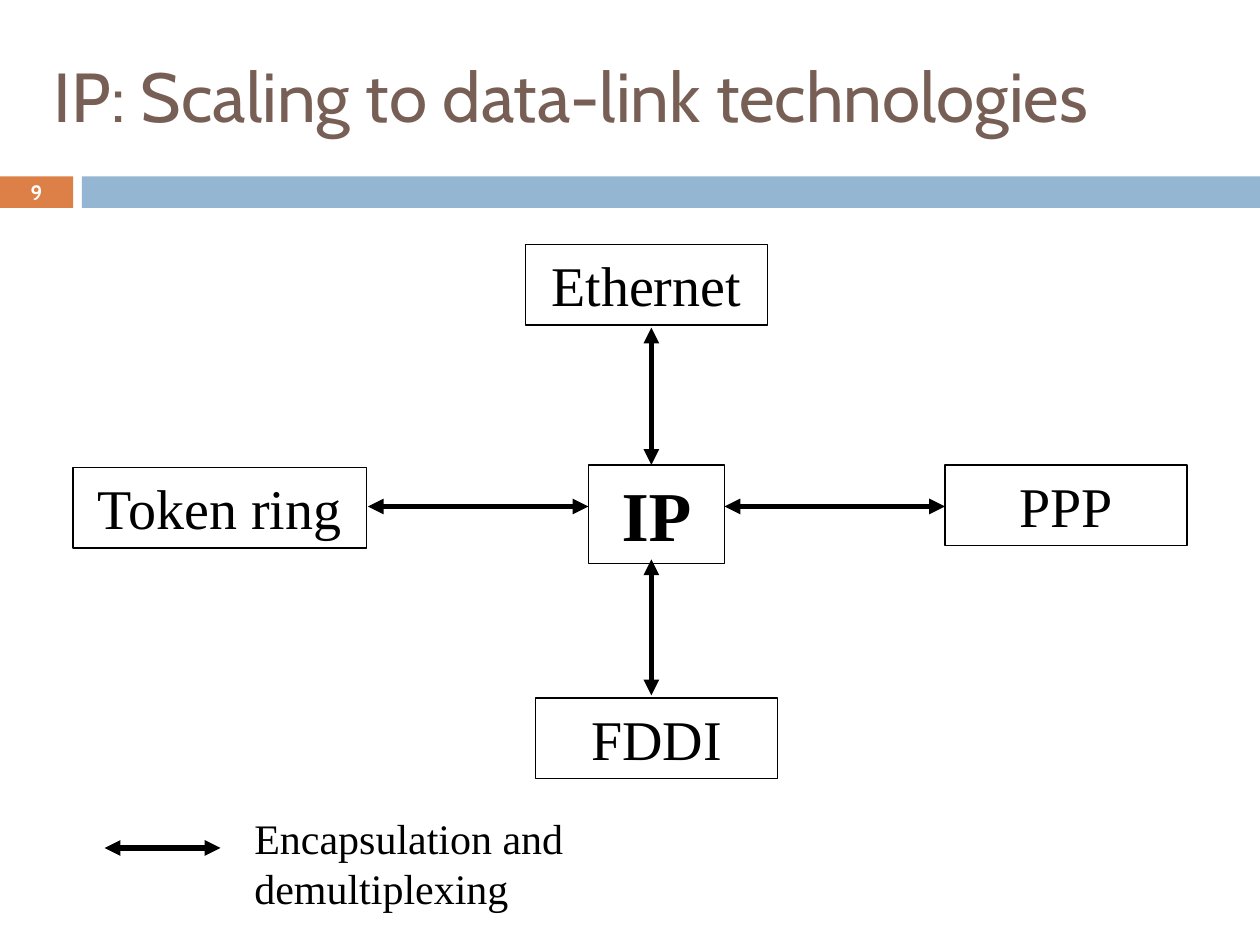
from dataclasses import dataclass

from lxml import etree
from pptx import Presentation
from pptx.dml.color import RGBColor
from pptx.enum.shapes import MSO_CONNECTOR, MSO_SHAPE
from pptx.enum.text import MSO_ANCHOR, PP_ALIGN
from pptx.oxml.ns import qn
from pptx.util import Inches, Pt

RECT = MSO_SHAPE.RECTANGLE
STRAIGHT = MSO_CONNECTOR.STRAIGHT
TOP, MIDDLE = MSO_ANCHOR.TOP, MSO_ANCHOR.MIDDLE
LEFT, CENTER = PP_ALIGN.LEFT, PP_ALIGN.CENTER


@dataclass(frozen=True)
class Theme:
    """Colours, fonts and type sizes of the slide."""
    ink: RGBColor = RGBColor(0x00, 0x00, 0x00)
    title: RGBColor = RGBColor(0x77, 0x5F, 0x55)
    accent: RGBColor = RGBColor(0xDD, 0x80, 0x47)
    band: RGBColor = RGBColor(0x94, 0xB6, 0xD2)
    white: RGBColor = RGBColor(0xFF, 0xFF, 0xFF)
    head_font: str = "Cabin"
    body_font: str = "Times New Roman"
    title_size: float = 39.6
    number_size: float = 11.9
    node_size: float = 32
    hub_size: float = 40
    legend_size: float = 24
    space_before: float = 3
    outline: float = 0.75
    arrow: float = 3


@dataclass(frozen=True)
class Box:
    """Position and size in inches."""
    x: float
    y: float
    w: float
    h: float

    def emu(self) -> list:
        """Return the four lengths for python-pptx."""
        return [Inches(v) for v in (self.x, self.y, self.w, self.h)]


@dataclass(frozen=True)
class Node:
    """A labelled protocol box."""
    label: str
    box: Box
    size: float
    bold: bool = False


@dataclass(frozen=True)
class Arrow:
    """A double-headed arrow between two points in inches."""
    x1: float
    y1: float
    x2: float
    y2: float


T = Theme()
NODE_W, NODE_H = 1.92, 0.64
HUB_X, HUB_Y = 5.17, 4.02

NODES = [
    Node("Ethernet", Box(4.17, 1.94, NODE_W, NODE_H), T.node_size),
    Node("FDDI", Box(4.25, 5.54, NODE_W, NODE_H), T.node_size),
    Node("PPP", Box(7.5, 3.69, NODE_W, NODE_H), T.node_size),
    Node("Token ring", Box(0.58, 3.71, 2.33, NODE_H), T.node_size),
    Node("IP", Box(4.67, 3.69, 1.08, 0.78), T.hub_size, True),
]
ARROWS = [
    Arrow(2.92, HUB_Y, 4.67, HUB_Y),
    Arrow(5.75, HUB_Y, 7.5, HUB_Y),
    Arrow(HUB_X, 2.6, HUB_X, 3.69),
    Arrow(HUB_X, 4.44, HUB_X, 5.52),
    Arrow(0.83, 6.73, 1.75, 6.73),
]


def write(sp, text: str, align=LEFT, anchor=TOP, before: float = 0, **font) -> None:
    """Put one formatted paragraph into a shape."""
    tf = sp.text_frame
    tf.word_wrap = True
    tf.vertical_anchor = anchor
    p = tf.paragraphs[0]
    p.alignment = align
    p.space_before = Pt(before)
    r = p.add_run()
    r.text = text
    r.font.color.rgb = font.pop("color")
    for name, value in font.items():
        setattr(r.font, name, value)


def add_band(slide, box: Box, color: RGBColor) -> None:
    """Draw a filled bar without an outline."""
    sp = slide.shapes.add_shape(RECT, *box.emu())
    sp.shadow.inherit = False
    sp.fill.solid()
    sp.fill.fore_color.rgb = color
    sp.line.fill.background()


def add_text(slide, box: Box, text: str, **style) -> None:
    """Add a text box with one paragraph."""
    write(slide.shapes.add_textbox(*box.emu()), text, **style)


def add_node(slide, node: Node) -> None:
    """Draw an outlined box with its label."""
    sp = slide.shapes.add_shape(RECT, *node.box.emu())
    sp.shadow.inherit = False
    sp.fill.background()
    sp.line.color.rgb = T.ink
    sp.line.width = Pt(T.outline)
    write(sp, node.label, align=CENTER, before=T.space_before, name=T.body_font,
          size=Pt(node.size), bold=node.bold, color=T.ink)


def add_arrow(slide, arrow: Arrow) -> None:
    """Draw a line with a triangle at both ends."""
    ends = (arrow.x1, arrow.y1, arrow.x2, arrow.y2)
    cxn = slide.shapes.add_connector(STRAIGHT, *[Inches(v) for v in ends])
    cxn.line.color.rgb = T.ink
    cxn.line.width = Pt(T.arrow)
    ln = cxn.line._get_or_add_ln()
    for tag in ("a:headEnd", "a:tailEnd"):
        etree.SubElement(ln, qn(tag), type="triangle")
    etree.SubElement(ln.getparent(), qn("a:effectLst"))


def build() -> None:
    """Build and save the slide."""
    prs = Presentation()
    prs.slide_width, prs.slide_height = Inches(10), Inches(7.5)
    slide = prs.slides.add_slide(prs.slide_layouts[6])

    add_band(slide, Box(0, 1.4, 0.58, 0.25), T.accent)
    add_band(slide, Box(0.65, 1.4, 9.35, 0.25), T.band)
    add_text(slide, Box(0.33, 0.42, 9.33, 0.67), "IP: Scaling to data-link technologies",
             anchor=MIDDLE, name=T.head_font, size=Pt(T.title_size), color=T.title)
    add_text(slide, Box(0, 1.39, 0.58, 0.27), "9", align=CENTER, anchor=MIDDLE,
             name=T.head_font, size=Pt(T.number_size), bold=True, color=T.white)
    for node in NODES:
        add_node(slide, node)
    for arrow in ARROWS:
        add_arrow(slide, arrow)
    add_text(slide, Box(1.92, 6.4, 4.75, 0.5), "Encapsulation and demultiplexing",
             before=T.space_before, name=T.body_font, size=Pt(T.legend_size), color=T.ink)
    prs.save("out.pptx")


build()
